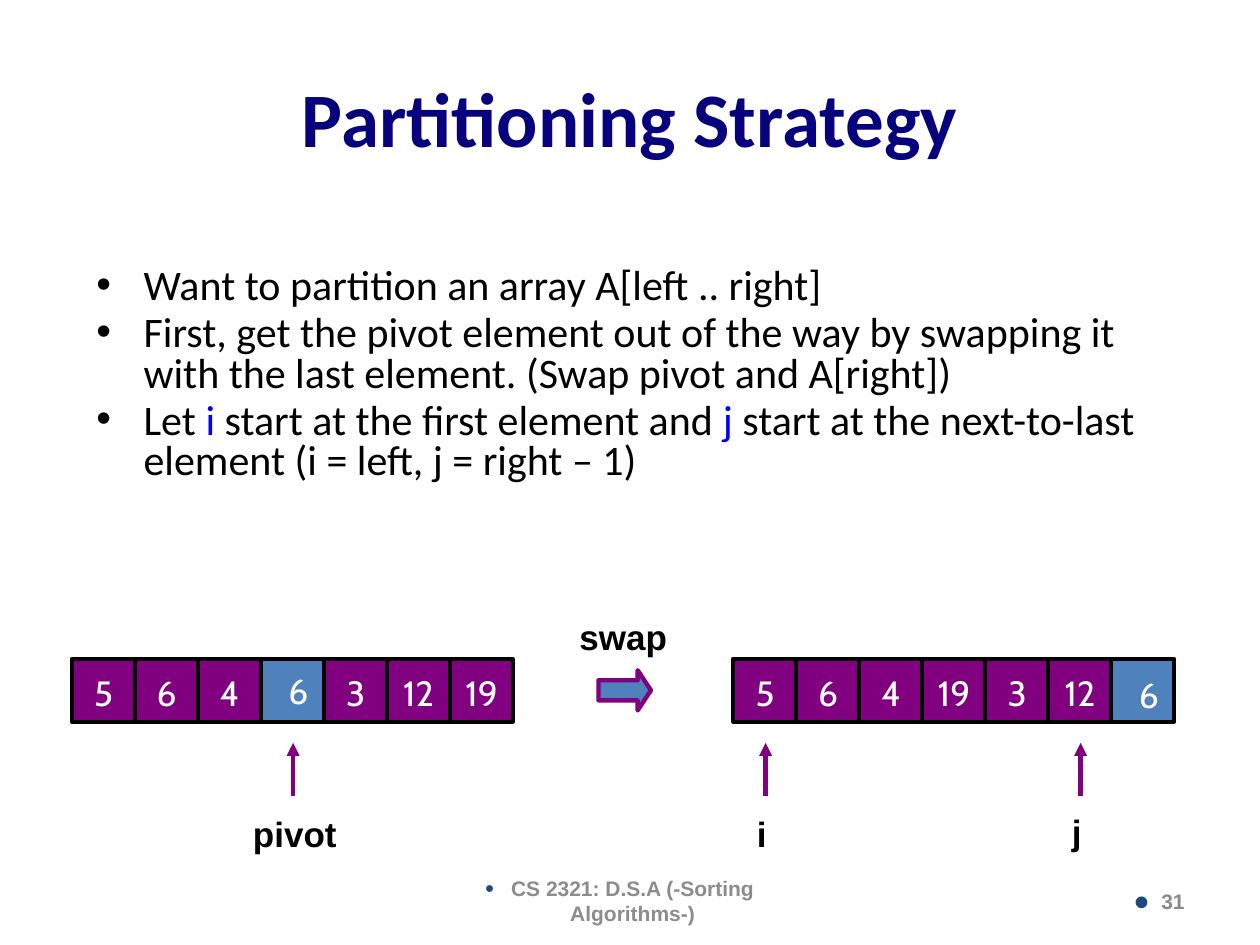
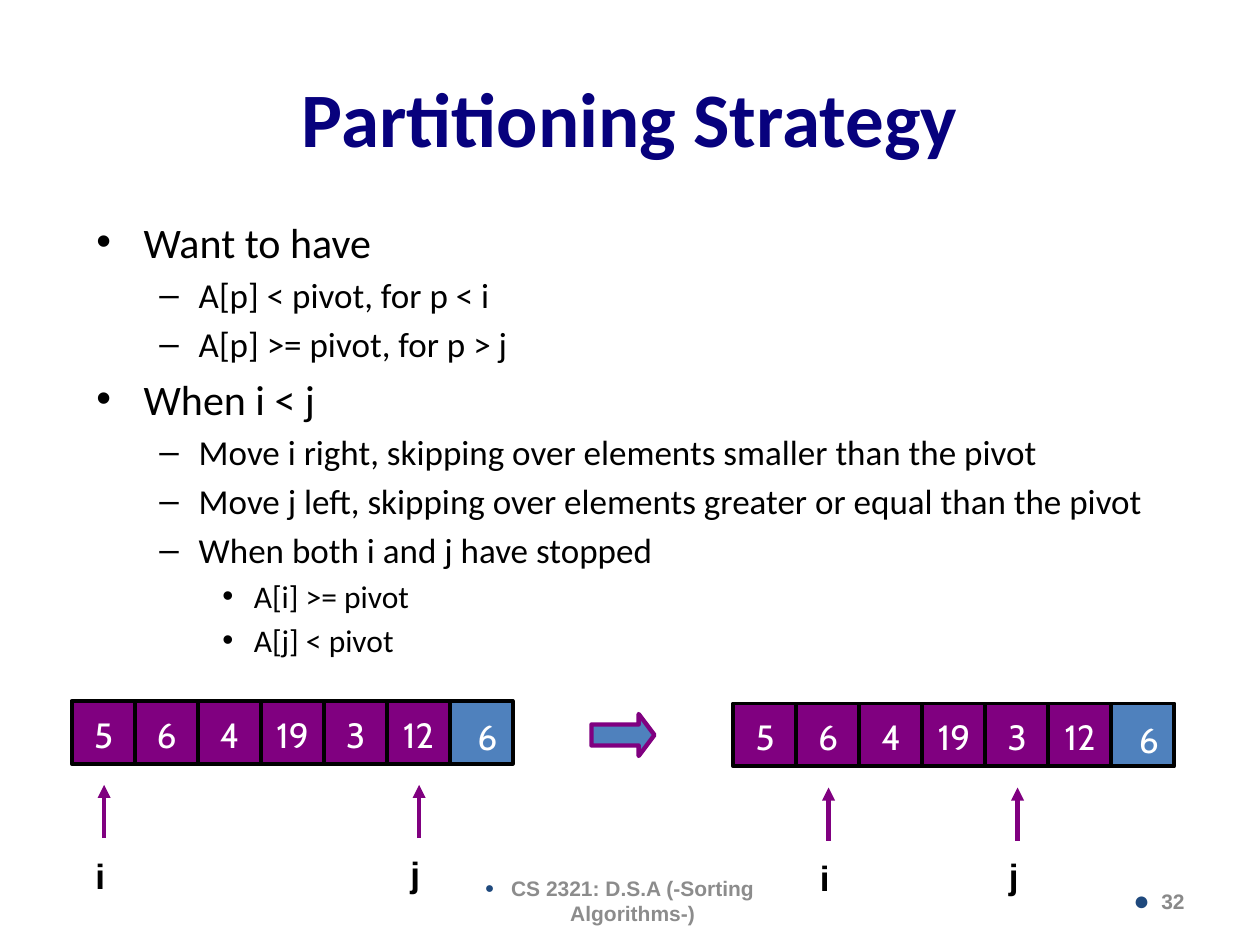
from pptx import Presentation
from pptx.dml.color import RGBColor
from pptx.enum.shapes import MSO_CONNECTOR, MSO_SHAPE
from pptx.enum.text import MSO_ANCHOR, PP_ALIGN
from pptx.oxml.ns import qn
from pptx.util import Pt
from lxml.etree import SubElement

NAVY = RGBColor(0x07, 0x01, 0x7D)
BLACK = RGBColor(0x00, 0x00, 0x00)
WHITE = RGBColor(0xFF, 0xFF, 0xFF)
BLUE = RGBColor(0x00, 0x00, 0xFF)
PURPLE = RGBColor(0x80, 0x00, 0x80)
STEEL = RGBColor(0x4F, 0x81, 0xBD)
BULLET_BLUE = RGBColor(0x1F, 0x49, 0x7D)
FOOTER_GRAY = RGBColor(0x8C, 0x8C, 0x8C)
NUMBER_GRAY = RGBColor(0x89, 0x89, 0x89)

TITLE = "Partitioning Strategy"
FOOTER = "CS 2321: D.S.A (-Sorting Algorithms-)"
CELL = 36
LEFT_ROW, RIGHT_ROW = 41, 419
BULLET_LEVELS = [
    ("•", 27, 27, 24),
    ("–", 58.5, 22.5, 20),
    ("•", 90, 18, 18),
]


def add_run(paragraph, text, font, size, color, bold=False):
    run = paragraph.add_run()
    run.text = text
    run.font.name = font
    run.font.size = Pt(size)
    run.font.color.rgb = color
    run.font.bold = bold


def set_bullet(paragraph, symbol, margin, hanging, color=None, percent=100):
    properties = paragraph._p.get_or_add_pPr()
    properties.set("marL", str(Pt(margin)))
    properties.set("indent", str(-Pt(hanging)))
    if color is not None:
        SubElement(SubElement(properties, qn("a:buClr")), qn("a:srgbClr"), val=str(color))
    SubElement(properties, qn("a:buSzPct"), val=str(percent * 1000))
    SubElement(properties, qn("a:buFont"), typeface="Arial")
    SubElement(properties, qn("a:buChar"), char=symbol)


def add_text_box(slide, left, top, width, height, anchor=MSO_ANCHOR.TOP):
    frame = slide.shapes.add_textbox(Pt(left), Pt(top), Pt(width), Pt(height)).text_frame
    frame.word_wrap = True
    frame.vertical_anchor = anchor
    return frame


def add_block(slide, preset, left, top, width, height, fill, line, line_width):
    shape = slide.shapes.add_shape(preset, Pt(left), Pt(top), Pt(width), Pt(height))
    shape.shadow.inherit = False
    shape.fill.solid()
    shape.fill.fore_color.rgb = fill
    shape.line.color.rgb = line
    shape.line.width = Pt(line_width)
    return shape


def add_title(slide):
    title = slide.shapes.title
    title.left, title.top, title.width, title.height = Pt(36), Pt(21.6), Pt(648), Pt(90)
    frame = title.text_frame
    frame.vertical_anchor = MSO_ANCHOR.MIDDLE
    paragraph = frame.paragraphs[0]
    paragraph.alignment = PP_ALIGN.CENTER
    add_run(paragraph, TITLE, "Calibri", 44, NAVY, bold=True)


def add_footer(slide, number):
    frame = add_text_box(slide, 246, 500.4, 228, 28.8, MSO_ANCHOR.MIDDLE)
    frame.margin_left, frame.margin_right = Pt(0), Pt(12)
    paragraph = frame.paragraphs[0]
    paragraph.alignment = PP_ALIGN.CENTER
    set_bullet(paragraph, "●", 15, 15, BULLET_BLUE, 75)
    add_run(paragraph, FOOTER, "Arial", 12, FOOTER_GRAY, bold=True)

    frame = add_text_box(slide, 516, 500.4, 168, 28.8, MSO_ANCHOR.MIDDLE)
    paragraph = frame.paragraphs[0]
    paragraph.alignment = PP_ALIGN.RIGHT
    set_bullet(paragraph, "●", 16, 16, BULLET_BLUE, 130)
    add_run(paragraph, str(number), "Arial", 12, NUMBER_GRAY, bold=True)


def add_body(slide, box, items, line_spacing=1.0):
    frame = add_text_box(slide, *box)
    for index, (level, runs) in enumerate(items):
        paragraph = frame.paragraphs[0] if index == 0 else frame.add_paragraph()
        symbol, margin, hanging, size = BULLET_LEVELS[level]
        paragraph.level = level
        paragraph.line_spacing = line_spacing
        if index:
            paragraph.space_before = Pt(0.2 * size * line_spacing)
        set_bullet(paragraph, symbol, margin, hanging)
        for text, color in runs:
            add_run(paragraph, text, "Calibri", size, color)


def add_label(slide, text, left, top, width):
    frame = add_text_box(slide, left, top, width, 31)
    add_run(frame.paragraphs[0], text, "Arial", 20, BLACK, bold=True)


def add_array(slide, left, top, values, pivot, pivot_drop=5):
    for index, value in enumerate(values):
        is_pivot = index == pivot
        cell = add_block(slide, MSO_SHAPE.RECTANGLE, left + index * CELL, top, CELL, CELL,
                         STEEL if is_pivot else PURPLE, BLACK, 2.25)
        frame = cell.text_frame
        frame.word_wrap = False
        frame.vertical_anchor = MSO_ANCHOR.MIDDLE
        frame.margin_right = frame.margin_bottom = Pt(0)
        frame.margin_left = Pt(7 if is_pivot else 0.5)
        frame.margin_top = Pt(pivot_drop if is_pivot else 2)
        paragraph = frame.paragraphs[0]
        paragraph.alignment = PP_ALIGN.CENTER
        add_run(paragraph, str(value), "Cabin", 20, WHITE)


def add_pointer(slide, row_left, row_top, index, text, label_shift=12, label_width=30, label_drop=84):
    x = row_left + (index + 0.5) * CELL + 0.5
    arrow = slide.shapes.add_connector(
        MSO_CONNECTOR.STRAIGHT, Pt(x), Pt(row_top + 78.5), Pt(x), Pt(row_top + 48))
    arrow.line.color.rgb = PURPLE
    arrow.line.width = Pt(2.5)
    SubElement(arrow.line._get_or_add_ln(), qn("a:tailEnd"), type="triangle")
    SubElement(arrow._element.spPr, qn("a:effectLst"))
    add_label(slide, text, x - label_shift, row_top + label_drop, label_width)


def add_index_pointers(slide, row_left, row_top, i, j):
    add_pointer(slide, row_left, row_top, i, "i")
    add_pointer(slide, row_left, row_top, j, "j", label_drop=83)


def add_step_arrow(slide, left, top, width, height, head):
    arrow = add_block(slide, MSO_SHAPE.RIGHT_ARROW, left, top, width, height, STEEL, PURPLE, 2.5)
    arrow.adjustments[0] = 0.5
    arrow.adjustments[1] = head


def start_slide(presentation, number):
    slide = presentation.slides.add_slide(presentation.slide_layouts.get_by_name("Title Only"))
    add_title(slide)
    add_footer(slide, number)
    return slide


def add_swap_slide(presentation, swapped):
    slide = start_slide(presentation, 31)
    add_body(slide, (48, 150, 618, 162), [
        (0, [("Want to partition an array A[left .. right]", BLACK)]),
        (0, [("First, get the pivot element out of the way by swapping it with the last "
              "element. (Swap pivot and A[right])", BLACK)]),
        (0, [("Let ", BLACK), ("i", BLUE), (" start at the first element and ", BLACK),
             ("j", BLUE),
             (" start at the next-to-last element (i = left, j = right – 1)", BLACK)]),
    ], line_spacing=0.8)
    top = 376.5
    add_array(slide, LEFT_ROW, top, [5, 6, 4, 6, 3, 12, 19], 3, pivot_drop=0)
    add_pointer(slide, LEFT_ROW, top, 3, "pivot", label_shift=30, label_width=66)
    add_label(slide, "swap", 324, 348, 78)
    add_step_arrow(slide, 342, 383, 30, 23, 0.33)
    add_array(slide, RIGHT_ROW, top, swapped, 6)
    add_index_pointers(slide, RIGHT_ROW, top, 0, 5)


def add_scan_slide(presentation, swapped):
    slide = start_slide(presentation, 32)
    outline = [
        (0, "Want to have"),
        (1, "A[p] < pivot, for p < i"),
        (1, "A[p] >= pivot, for p > j"),
        (0, "When i < j"),
        (1, "Move i right, skipping over elements smaller than the pivot"),
        (1, "Move j left, skipping over elements greater or equal than the pivot"),
        (1, "When both i and j have stopped"),
        (2, "A[i] >= pivot"),
        (2, "A[j] < pivot"),
    ]
    add_body(slide, (48, 120, 642, 270),
             [(level, [(text, BLACK)]) for level, text in outline])
    add_step_arrow(slide, 338, 408, 36, 24, 0.375)
    for left, top, i, j in [(LEFT_ROW, 400.5, 0, 5), (RIGHT_ROW, 402, 1, 4)]:
        add_array(slide, left, top, swapped, 6)
        add_index_pointers(slide, left, top, i, j)


def main():
    presentation = Presentation()
    presentation.slide_width, presentation.slide_height = Pt(720), Pt(540)
    swapped = [5, 6, 4, 19, 3, 12, 6]
    add_swap_slide(presentation, swapped)
    add_scan_slide(presentation, swapped)
    presentation.save("out.pptx")


if __name__ == "__main__":
    main()
